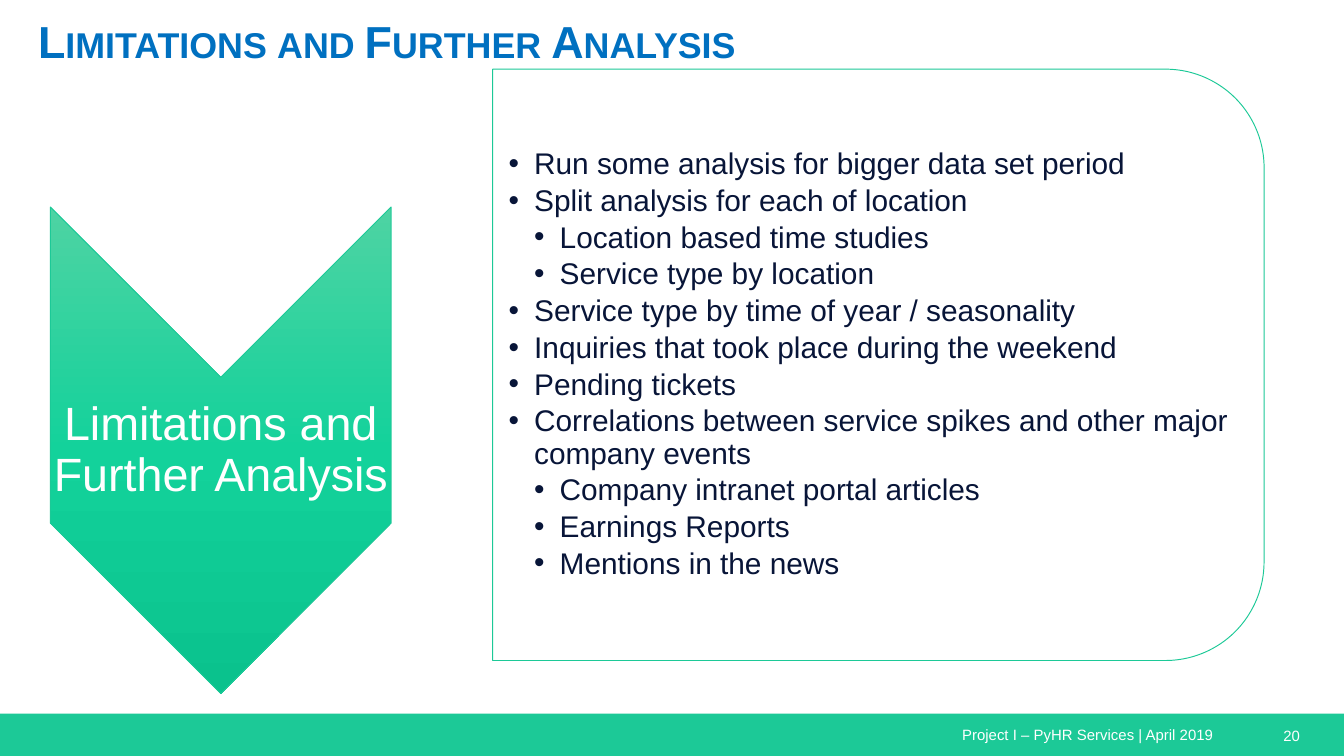
from copy import deepcopy

from lxml.etree import SubElement
from pptx import Presentation
from pptx.dml.color import RGBColor
from pptx.enum.shapes import MSO_SHAPE as Shape
from pptx.enum.text import MSO_ANCHOR as Anchor, PP_ALIGN as Align
from pptx.oxml.ns import qn
from pptx.util import Pt

PX = 4572
WHITE = RGBColor(0xFF, 0xFF, 0xFF)
GREEN = RGBColor(0x1C, 0xC9, 0x97)
BLUE = RGBColor(0x00, 0x70, 0xC0)
NAVY = RGBColor(0x08, 0x15, 0x38)
ARROW_SHADES = [RGBColor(0x4E, 0xD3, 0xA3), RGBColor(0x13, 0xD2, 0x9B), RGBColor(0x0A, 0xC2, 0x8D)]
BULLET_INDENT = 38
TOPICS = [
    (1, "Run some analysis for bigger data set period"),
    (1, "Split analysis for each of location"),
    (2, "Location based time studies"),
    (2, "Service type by location"),
    (1, "Service type by time of year / seasonality"),
    (1, "Inquiries that took place during the weekend"),
    (1, "Pending tickets"),
    (1, "Correlations between service spikes and other major company events"),
    (2, "Company intranet portal articles"),
    (2, "Earnings Reports"),
    (2, "Mentions in the news"),
]


def emu(*lengths):
    """Turn px lengths into EMU."""
    return [int(length * PX) for length in lengths]


def add_text(slide, box, lines, *, size, color=WHITE, bold=False, small_caps=False, align=Align.LEFT,
             anchor=Anchor.TOP, insets=(20, 10, 20, 10), spacing=None, after=None):
    """Write (level, text) lines in a box; level 0 has no bullet."""
    frame = slide.shapes.add_textbox(*emu(*box)).text_frame
    frame.word_wrap = True
    frame.vertical_anchor = anchor
    frame.margin_left, frame.margin_top, frame.margin_right, frame.margin_bottom = emu(*insets)
    for index, (level, text) in enumerate(lines):
        line = frame.add_paragraph() if index else frame.paragraphs[0]
        line.alignment, line.line_spacing, line.space_after = align, spacing, after
        if level:
            add_bullet(line, level)
        run = line.add_run()
        run.text = text
        font = run.font
        font.name, font.size, font.bold = "Arial", Pt(size), bold
        font.color.rgb = color
        if small_caps:
            run._r.get_or_add_rPr().set("cap", "small")


def add_bullet(line, level):
    """Give a paragraph a hanging round bullet."""
    line.level = level
    properties = line._p.get_or_add_pPr()
    properties.set("marL", str(level * BULLET_INDENT * PX))
    properties.set("indent", str(-BULLET_INDENT * PX))
    SubElement(properties, qn("a:buFont"), typeface="Arial")
    SubElement(properties, qn("a:buChar"), char="•")


def add_turned_shape(slide, kind, box):
    """Add a shape turned by 90 degrees that covers the box."""
    left, top, width, height = box
    shift = (width - height) / 2
    shape = slide.shapes.add_shape(kind, *emu(left + shift, top - shift, height, width))
    shape.rotation = 90
    shape.shadow.inherit = False
    shape.line.color.rgb = GREEN
    shape.line.width = Pt(0.5)
    return shape


def draw_footer(slide, box):
    """Draw the green band with the project line and page number."""
    left, top, width, height = box
    band = slide.shapes.add_shape(Shape.RECTANGLE, *emu(*box))
    band.shadow.inherit = False
    band.fill.solid()
    band.fill.fore_color.rgb = GREEN
    band.line.fill.background()
    add_text(slide, (left + 1412, top + 8, 464, 48), [(0, "Project I – PyHR Services | April 2019")], size=8)
    add_text(slide, (left + 1890, top + 9, 110, 48), [(0, "20")], size=8)


def draw_title(slide, box):
    """Write the slide title."""
    add_text(slide, box, [(0, "Limitations and Further Analysis")], size=24, color=BLUE, bold=True,
             small_caps=True, insets=(20, 20, 20, 20))


def draw_arrow(slide, box):
    """Draw the downward chevron with its label."""
    left, top, width, height = box
    fill = add_turned_shape(slide, Shape.CHEVRON, box).fill
    fill.gradient()
    fill.gradient_angle = 270
    stop_list = fill.gradient_stops[0]._gs.getparent()
    stop_list.append(deepcopy(stop_list[-1]))
    stop_list.getparent().set("rotWithShape", "0")
    for index, (stop, shade) in enumerate(zip(fill.gradient_stops, ARROW_SHADES)):
        stop.position = index / 2
        stop.color.rgb = shade
    add_text(slide, (left, top + 254, width, 218), [(0, "Limitations and Further Analysis")], size=25,
             align=Align.CENTER, anchor=Anchor.MIDDLE, insets=(4, 4, 4, 4), spacing=0.9)


def draw_topics(slide, box):
    """Draw the rounded panel with the bulleted topics."""
    left, top, width, height = box
    panel = add_turned_shape(slide, Shape.ROUND_2_SAME_RECTANGLE, box)
    panel.fill.solid()
    panel.fill.fore_color.rgb = WHITE
    color = panel._element.spPr.find(qn("a:solidFill"))[0]
    SubElement(color, qn("a:alpha"), val="90000")
    add_text(slide, (left, top + 43, width - 42, height - 86), TOPICS, size=16, color=NAVY,
             anchor=Anchor.MIDDLE, insets=(24, 2, 2, 2), spacing=0.9, after=Pt(2.4))


def main():
    """Build and save the slide."""
    deck = Presentation()
    deck.slide_width, deck.slide_height = emu(2000, 1125)
    slide = deck.slides.add_slide(deck.slide_layouts[6])
    draw_footer(slide, (0, 1062, 2000, 63))
    draw_title(slide, (37, 0, 1250, 162))
    draw_arrow(slide, (75, 308, 507, 724))
    draw_topics(slide, (733, 103, 1148, 880))
    deck.save("out.pptx")


if __name__ == "__main__":
    main()
